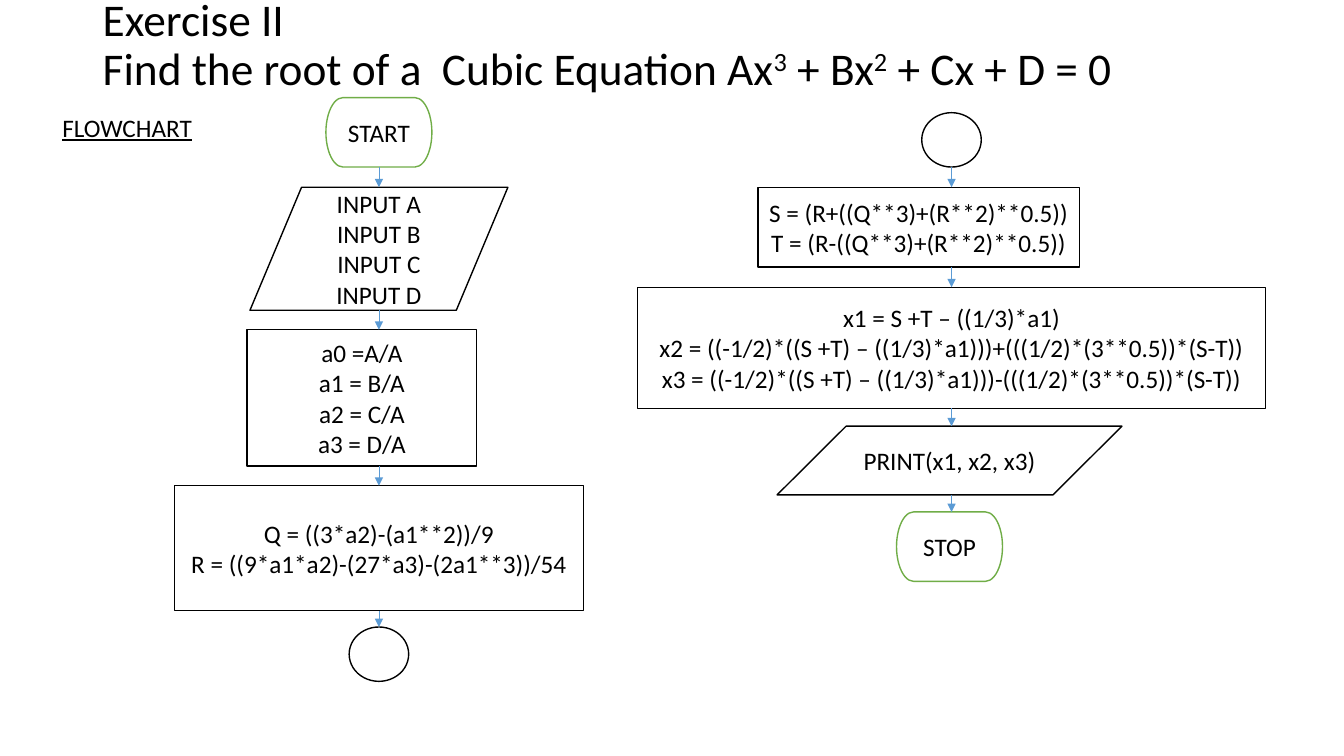
from lxml import etree
from pptx import Presentation
from pptx.dml.color import RGBColor
from pptx.enum.shapes import MSO_CONNECTOR, MSO_SHAPE
from pptx.enum.text import MSO_ANCHOR, PP_ALIGN
from pptx.oxml.ns import qn
from pptx.util import Cm, Pt

BLACK = RGBColor(0x00, 0x00, 0x00)
WHITE = RGBColor(0xFF, 0xFF, 0xFF)
GREEN = RGBColor(0x70, 0xAD, 0x47)
BLUE = RGBColor(0x5B, 0x9B, 0xD5)
FONT = "Calibri"

TITLE_LINES = [
    [("Exercise II", False)],
    [("Find the root of a  Cubic Equation Ax", False), ("3", True),
     (" + Bx", False), ("2", True), (" + Cx + D = 0", False)],
]
LABEL = "FLOWCHART"

TERMINAL = MSO_SHAPE.FLOWCHART_TERMINATOR
DATA = MSO_SHAPE.FLOWCHART_DATA
PROCESS = MSO_SHAPE.FLOWCHART_PROCESS
JOINT = MSO_SHAPE.FLOWCHART_CONNECTOR

# kind, top, width, height, shift from the column axis, lines
COLUMNS = [
    (9.55, [
        (TERMINAL, 2.46, 2.67, 1.75, 0, ["START"]),
        (DATA, 4.72, 6.5, 3.1, 0, ["INPUT A", "INPUT B", "INPUT C", "INPUT D"]),
        (PROCESS, 8.31, 5.79, 3.43, -0.43,
         ["a0 =A/A", "a1 = B/A", "a2 = C/A", "a3 = D/A"]),
        (PROCESS, 12.24, 10.31, 3.15, 0,
         ["Q = ((3*a2)-(a1**2))/9", "R = ((9*a1*a2)-(27*a3)-(2a1**3))/54"]),
        (JOINT, 15.8, 1.5, 1.37, 0, []),
    ]),
    (23.98, [
        (JOINT, 2.84, 1.5, 1.37, 0, []),
        (PROCESS, 4.72, 8.1, 2.01, -0.83,
         ["S = (R+((Q**3)+(R**2)**0.5))", "T = (R-((Q**3)+(R**2)**0.5))"]),
        (PROCESS, 7.24, 15.82, 3.05, 0,
         ["x1 = S +T – ((1/3)*a1)",
          "x2 = ((-1/2)*((S +T) – ((1/3)*a1)))+(((1/2)*(3**0.5))*(S-T))",
          "x3 = ((-1/2)*((S +T) – ((1/3)*a1)))-(((1/2)*(3**0.5))*(S-T))"]),
        (DATA, 10.74, 8.69, 1.73, -0.05, ["PRINT(x1, x2, x3)"]),
        (TERMINAL, 12.9, 2.67, 1.75, -0.05, ["STOP"]),
    ]),
]


def style(paragraph, size, align=PP_ALIGN.LEFT):
    paragraph.alignment = align
    paragraph.font.name = FONT
    paragraph.font.size = Pt(size)
    paragraph.font.color.rgb = BLACK


def add_title(slide):
    frame = slide.shapes.add_textbox(Cm(2.34), Cm(0), Cm(29.2), Cm(2.34)).text_frame
    frame.word_wrap = True
    frame.vertical_anchor = MSO_ANCHOR.MIDDLE
    frame.margin_top = frame.margin_bottom = 0
    for index, pieces in enumerate(TITLE_LINES):
        paragraph = frame.add_paragraph() if index else frame.paragraphs[0]
        style(paragraph, 32.4)
        paragraph.line_spacing = 0.9
        for text, raised in pieces:
            run = paragraph.add_run()
            run.text = text
            if raised:
                run.font._element.set("baseline", "30000")


def add_label(slide):
    frame = slide.shapes.add_textbox(Cm(1.32), Cm(2.7), Cm(8.76), Cm(1.02)).text_frame
    frame.word_wrap = True
    frame.text = LABEL
    style(frame.paragraphs[0], 18)
    frame.paragraphs[0].font.underline = True


def add_node(slide, axis, node):
    kind, top, width, height, shift, lines = node
    left = axis + shift - width / 2
    shape = slide.shapes.add_shape(kind, Cm(left), Cm(top), Cm(width), Cm(height))
    shape.shadow.inherit = False
    shape.fill.solid()
    shape.fill.fore_color.rgb = WHITE
    shape.line.color.rgb = GREEN if kind == TERMINAL else BLACK
    shape.line.width = Pt(1)
    frame = shape.text_frame
    frame.word_wrap = True
    frame.vertical_anchor = MSO_ANCHOR.MIDDLE
    frame.margin_left = frame.margin_right = Cm(0.1)
    if lines:
        frame.text = "\n".join(lines)
        for paragraph in frame.paragraphs:
            style(paragraph, 18, PP_ALIGN.CENTER)


def add_arrow(slide, axis, start, end):
    arrow = slide.shapes.add_connector(
        MSO_CONNECTOR.STRAIGHT, Cm(axis), Cm(start), Cm(axis), Cm(end))
    arrow.line.color.rgb = BLUE
    arrow.line.width = Pt(0.5)
    line = arrow.line._get_or_add_ln()
    etree.SubElement(line, qn("a:tailEnd"), type="triangle")
    etree.SubElement(arrow._element.spPr, qn("a:effectLst"))


def main():
    presentation = Presentation()
    presentation.slide_width, presentation.slide_height = Cm(33.87), Cm(19.05)
    slide = presentation.slides.add_slide(presentation.slide_layouts[6])
    add_title(slide)
    for axis, nodes in COLUMNS:
        for node in nodes:
            add_node(slide, axis, node)
        for upper, lower in zip(nodes, nodes[1:]):
            add_arrow(slide, axis, upper[1] + upper[3], lower[1])
    add_label(slide)
    presentation.save("out.pptx")


if __name__ == "__main__":
    main()
